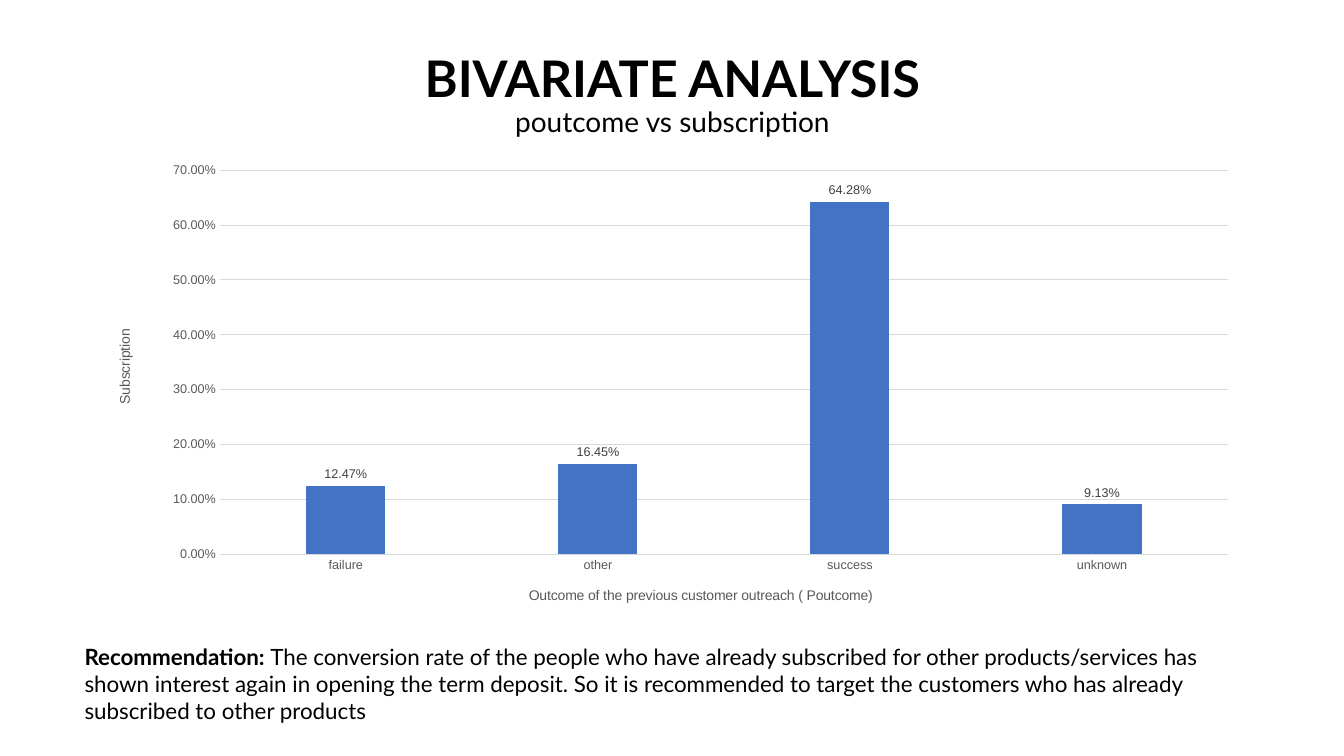
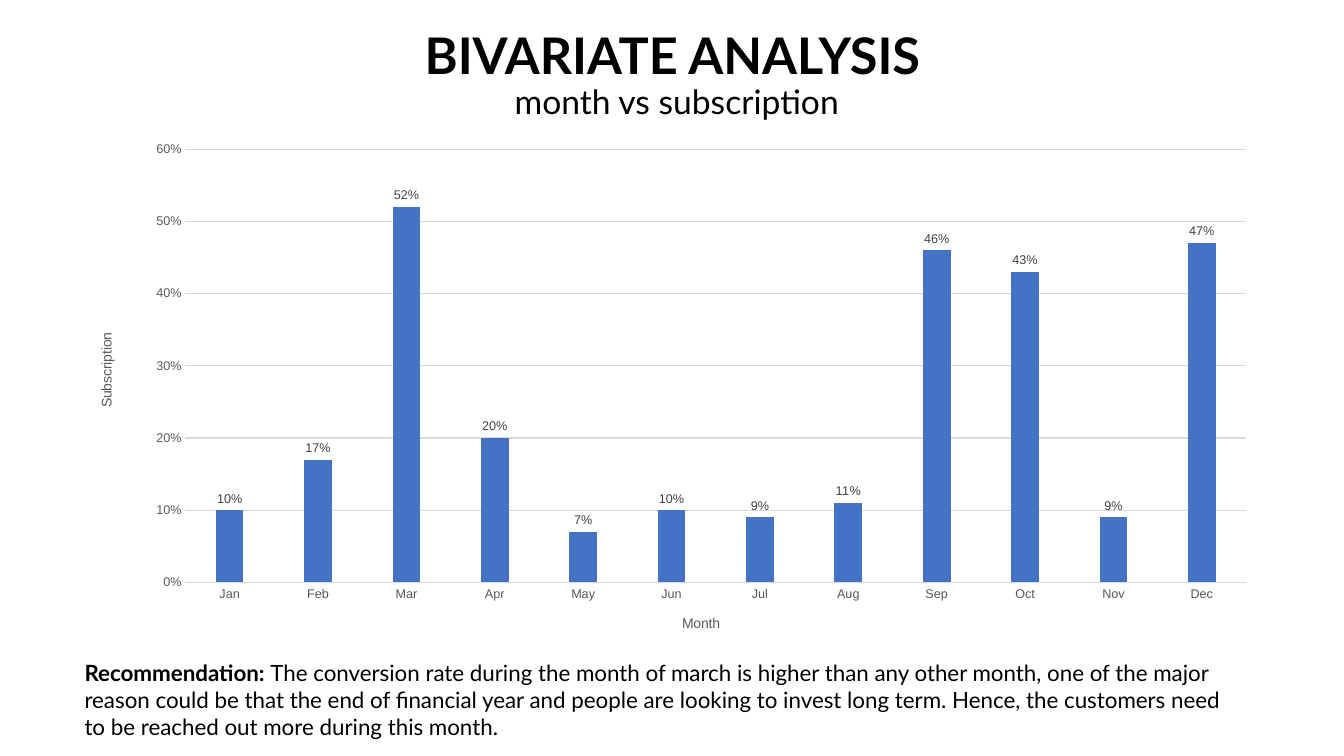
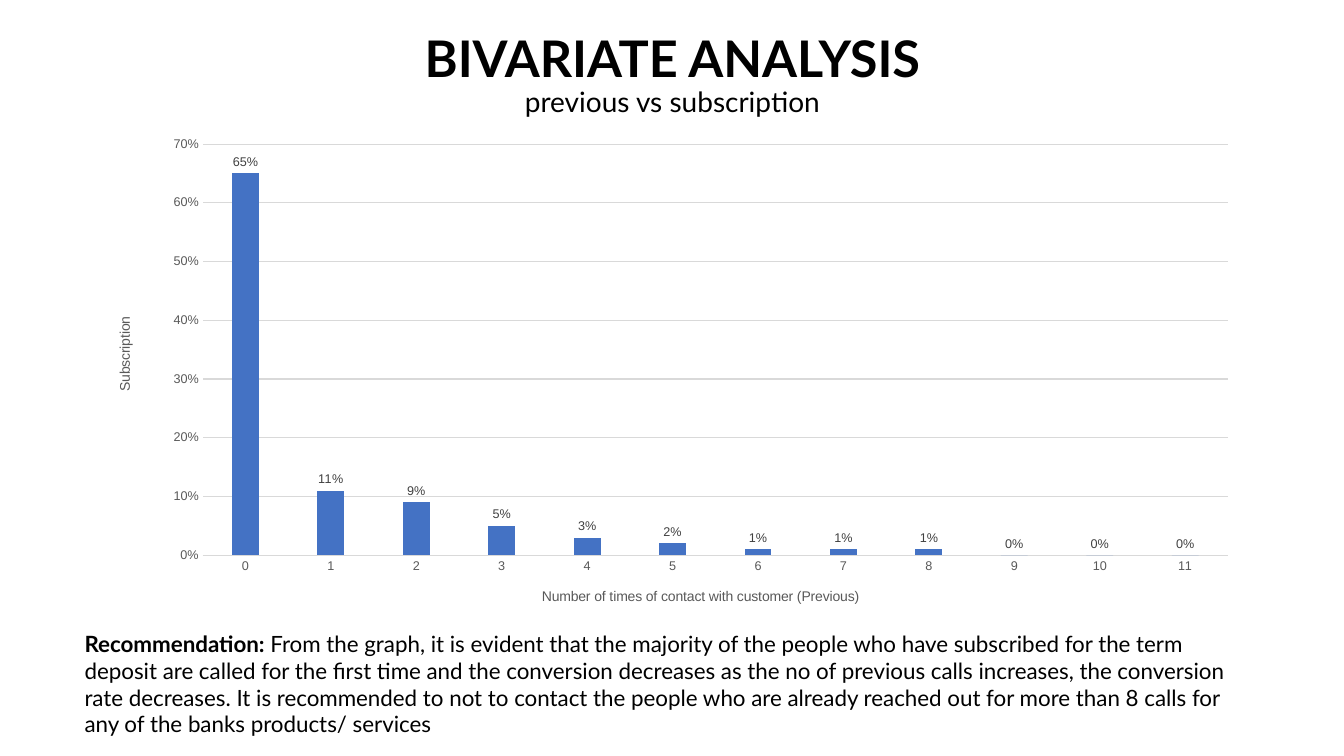
from pptx import Presentation
from pptx.chart.data import CategoryChartData
from pptx.dml.color import RGBColor
from pptx.enum.chart import XL_CHART_TYPE as ChartType
from pptx.enum.chart import XL_LABEL_POSITION as LabelPos
from pptx.enum.chart import XL_TICK_MARK as TickMark
from pptx.enum.text import MSO_ANCHOR, PP_ALIGN
from pptx.oxml import parse_xml
from pptx.oxml.ns import nsdecls
from pptx.util import Inches, Pt

BLACK = RGBColor(0x00, 0x00, 0x00)
BLUE = RGBColor(0x44, 0x72, 0xC4)
GRID = RGBColor(0xD9, 0xD9, 0xD9)
AXIS_TEXT = RGBColor(0x59, 0x59, 0x59)
LABEL_TEXT = RGBColor(0x40, 0x40, 0x40)
TEXT_FONT = "Lato"
CHART_FONT = "Arial"


def layout_xml(x, y, w=None, h=None):
    """Manual chart layout, in fractions of the chart's size."""
    inner = '<c:layoutTarget val="inner"/>' if w else ""
    size = f'<c:w val="{w:.4f}"/><c:h val="{h:.4f}"/>' if w else ""
    return parse_xml(
        f'<c:layout {nsdecls("c")}><c:manualLayout>{inner}'
        '<c:xMode val="edge"/><c:yMode val="edge"/>'
        f'<c:x val="{x:.4f}"/><c:y val="{y:.4f}"/>{size}'
        "</c:manualLayout></c:layout>")


def set_layout(parent, position, layout):
    for old in parent.xpath("c:layout"):
        parent.remove(old)
    parent.insert(position, layout)


class Deck:
    def __init__(self):
        self.prs = Presentation()
        self.prs.slide_width = Inches(13.33)
        self.prs.slide_height = Inches(7.5)
        self.s = None

    def new_slide(self):
        self.s = self.prs.slides.add_slide(self.prs.slide_layouts[6])

    def style(self, font, size, color=BLACK, name=TEXT_FONT, bold=False):
        font.name, font.size, font.bold = name, Pt(size), bold
        font.color.rgb = color

    def text_box(self, left, top, width, height):
        sp = self.s.shapes.add_textbox(
            Inches(left), Inches(top), Inches(width), Inches(height))
        tf = sp.text_frame
        tf.word_wrap = True
        tf.vertical_anchor = MSO_ANCHOR.TOP
        return tf

    def title(self, subtitle, top, size):
        tf = self.text_box(0.92, top, 11.5, 1)
        tf.text = f"BIVARIATE ANALYSIS\n{subtitle}"
        for p, points, bold in zip(tf.paragraphs, (36, size), (True, False)):
            p.alignment = PP_ALIGN.CENTER
            p.line_spacing = 0.9
            self.style(p.runs[0].font, points, bold=bold)

    def recommendation(self, text, top, height):
        p = self.text_box(0.74, top, 11.68, height).paragraphs[0]
        for part, bold in (("Recommendation: ", True), (text, False)):
            r = p.add_run()
            r.text = part
            self.style(r.font, 16, bold=bold)

    def axis(self, axis, title):
        axis.axis_title.text_frame.text = title
        r = axis.axis_title.text_frame.paragraphs[0].runs[0]
        self.style(r.font, 10, AXIS_TEXT, CHART_FONT)
        self.style(axis.tick_labels.font, 9, AXIS_TEXT, CHART_FONT)
        axis.major_tick_mark = axis.minor_tick_mark = TickMark.NONE

    def column_chart(self, box, data, x_title, x_title_left, plot_left,
                     maximum, number_format):
        left, top, width, height = box
        chart_data = CategoryChartData(number_format=number_format)
        chart_data.categories = list(data)
        chart_data.add_series("Series 1", list(data.values()))
        chart = self.s.shapes.add_chart(
            ChartType.COLUMN_CLUSTERED, *map(Inches, box), chart_data).chart
        chart.has_legend = chart.has_title = False
        self.style(chart.font, 10, BLACK, CHART_FONT)

        # Columns and their labels
        plot = chart.plots[0]
        plot.vary_by_categories = False
        plot.gap_width, plot.overlap = 219, -27
        fill = plot.series[0].format.fill
        fill.solid()
        fill.fore_color.rgb = BLUE
        plot.has_data_labels = True
        labels = plot.data_labels
        labels.show_value = True
        labels.position = LabelPos.OUTSIDE_END
        labels.number_format = number_format
        labels.number_format_is_linked = False
        self.style(labels.font, 9, LABEL_TEXT, CHART_FONT)

        # Axes
        x_axis, y_axis = chart.category_axis, chart.value_axis
        self.axis(x_axis, x_title)
        self.axis(y_axis, "Subscription")
        y_axis.minimum_scale, y_axis.maximum_scale = 0, maximum
        y_axis.major_unit = 0.1
        y_axis.tick_labels.number_format = number_format
        y_axis.tick_labels.number_format_is_linked = False
        y_axis.format.line.fill.background()
        for line in (x_axis.format.line, y_axis.major_gridlines.format.line):
            line.color.rgb = GRID
            line.width = Pt(0.75)

        # Plot area and axis titles placed by fixed margins
        plot_area = plot._element.getparent()
        set_layout(plot_area, 0, layout_xml(
            plot_left / width, 0.17 / height,
            (width - plot_left - 0.24) / width, (height - 0.87) / height))
        set_layout(x_axis.axis_title._element, 1, layout_xml(
            (x_title_left - left) / width, (height - 0.41) / height))
        set_layout(y_axis.axis_title._element, 1, layout_xml(
            0.2 / width, (height / 2 - 0.62) / height))


def main():
    deck = Deck()

    # Previous outcome
    deck.new_slide()
    deck.title("poutcome vs subscription", 0.49, 20)
    deck.recommendation(
        "The conversion rate of the people who have already subscribed for "
        "other products/services has shown interest again in opening the term "
        "deposit. So it is recommended to target the customers who has already "
        "subscribed to other products", 6.33, 0.91)
    outcomes = {"failure": 0.1247, "other": 0.1645,
                "success": 0.6428, "unknown": 0.0913}
    deck.column_chart((0.92, 1.52, 11.5, 4.68), outcomes,
                      "Outcome of the previous customer outreach ( Poutcome)",
                      5.22, 1.26, 0.7, "0.00%")

    # Month
    deck.new_slide()
    deck.title(" month vs subscription", 0.26, 24)
    deck.recommendation(
        "The conversion rate during the month of march is higher than any "
        "other month, one of the major reason could be that the end of "
        "financial year and people are looking to invest long term. Hence, the "
        "customers need to be reached out more during this month.", 6.49, 0.91)
    months = {"Jan": 0.1, "Feb": 0.17, "Mar": 0.52, "Apr": 0.2,
              "May": 0.07, "Jun": 0.1, "Jul": 0.09, "Aug": 0.11,
              "Sep": 0.46, "Oct": 0.43, "Nov": 0.09, "Dec": 0.47}
    deck.column_chart((0.74, 1.31, 11.86, 5.17), months, "Month",
                      6.74, 1.1, 0.6, "0%")

    # Number of previous contacts
    deck.new_slide()
    deck.title("previous vs subscription", 0.29, 20)
    deck.recommendation(
        "From the graph, it is evident that the majority of the people who "
        "have subscribed for the term deposit are called for the first time "
        "and the conversion decreases as the no of previous calls increases, "
        "the conversion rate decreases. It is recommended to not to contact "
        "the people who are already reached out for more than 8 calls for any "
        "of the banks products/ services", 6.2, 1.18)
    shares = (0.65, 0.11, 0.09, 0.05, 0.03, 0.02,
              0.01, 0.01, 0.01, 0, 0, 0)
    contacts = {str(n): share for n, share in enumerate(shares)}
    deck.column_chart((0.92, 1.26, 11.5, 4.95), contacts,
                      "Number of times of contact with customer (Previous)",
                      5.35, 1.09, 0.7, "0%")

    deck.prs.save("out.pptx")


if __name__ == "__main__":
    main()
